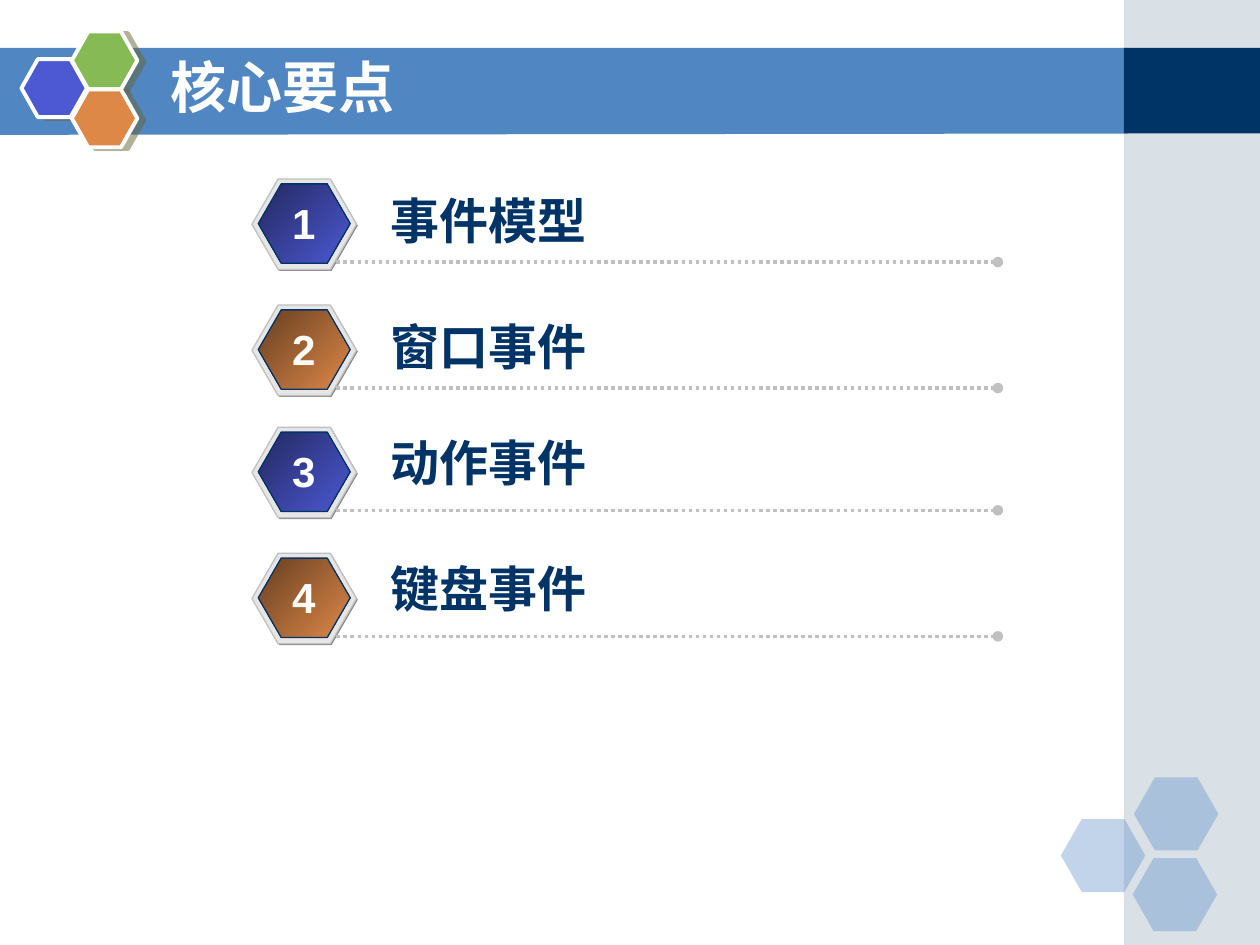
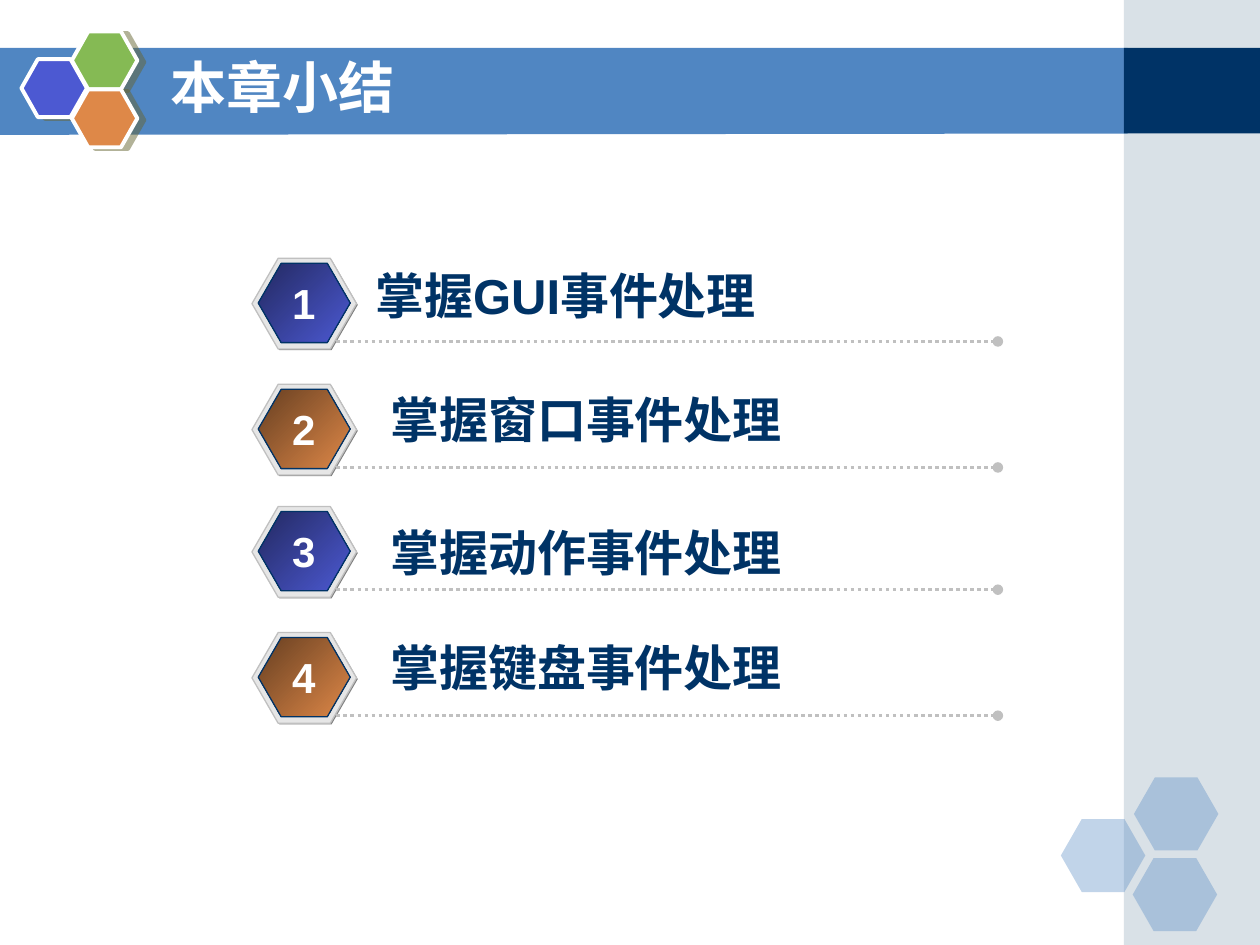
from dataclasses import dataclass

from lxml.etree import SubElement
from pptx import Presentation
from pptx.dml.color import RGBColor
from pptx.enum.dml import MSO_LINE
from pptx.enum.shapes import MSO_CONNECTOR, MSO_SHAPE
from pptx.enum.text import MSO_ANCHOR, MSO_AUTO_SIZE, PP_ALIGN
from pptx.oxml.ns import qn
from pptx.util import Inches, Pt


@dataclass(frozen=True)
class Theme:
    white: str = "FFFFFF"
    navy: str = "003366"
    band: str = "5086C2"
    side: str = "A0B5C4"
    indigo: str = "4C59D2"
    dark_indigo: str = "232961"
    orange: str = "DE8848"
    dark_orange: str = "673F21"
    green: str = "85BA54"
    silver: str = "C0C0C0"
    rim: str = "E6E6E6"
    edge: str = "808080"
    shadow: str = "666633"
    latin_font: str = "Arial"
    chinese_font: str = "Noto Sans CJK SC"
    title_size: int = 32
    topic_size: int = 28
    number_size: int = 24


@dataclass(frozen=True)
class Topic:
    text: str
    top: float
    width: float
    left: float = 3


ROW_OFFSETS = (0, 1, 1.97, 2.97)
CORNER_HEXAGONS = ((8.42, 6.5), (9, 6.17), (8.99, 6.81))

AGENDA = (
    Topic("事件模型", 1.46, 4.58),
    Topic("窗口事件", 2.46, 4.75),
    Topic("动作事件", 3.38, 4.75),
    Topic("键盘事件", 4.38, 4.67),
)
SUMMARY = (
    Topic("掌握GUI事件处理", 2.06, 4.75, 2.88),
    Topic("掌握窗口事件处理", 3.04, 4.67),
    Topic("掌握动作事件处理", 4.1, 4.67),
    Topic("掌握键盘事件处理", 5.01, 4.67),
)


class SlideBuilder:
    def __init__(self, presentation, theme):
        self.presentation = presentation
        self.theme = theme
        self.layout = presentation.slide_layouts[5]
        self.slide = None

    def start_slide(self, title):
        self.slide = self.presentation.slides.add_slide(self.layout)
        shape = self.slide.shapes.title
        shape.left, shape.top = Inches(1.25), Inches(0.33)
        shape.width, shape.height = Inches(7.33), Inches(0.7)
        shape.text_frame.vertical_anchor = MSO_ANCHOR.MIDDLE
        self.add_text(shape, title, self.theme.title_size, self.theme.white,
                      PP_ALIGN.LEFT, self.theme.chinese_font)

    def add_text(self, shape, text, size, color, alignment, font_name):
        paragraph = shape.text_frame.paragraphs[0]
        paragraph.alignment = alignment
        run = paragraph.add_run()
        run.text = text
        run.font.name = font_name
        run.font.size = Pt(size)
        run.font.bold = True
        run.font.color.rgb = RGBColor.from_string(color)
        east_asian = SubElement(run.font._element, qn("a:ea"))
        east_asian.set("typeface", self.theme.chinese_font)

    def paint(self, shape, fill, line=None, line_width=0.75, opacity=100):
        shape.shadow.inherit = False
        if isinstance(fill, tuple):
            shape.fill.gradient()
            shape.fill.gradient_angle = 315
            for stop, color in zip(shape.fill.gradient_stops, fill):
                stop.color.rgb = RGBColor.from_string(color)
        else:
            shape.fill.solid()
            shape.fill.fore_color.rgb = RGBColor.from_string(fill)
        if opacity < 100:
            color = shape._element.spPr.find(qn("a:solidFill"))[0]
            SubElement(color, qn("a:alpha")).set("val", str(opacity * 1000))
        if line:
            shape.line.color.rgb = RGBColor.from_string(line)
            shape.line.width = Pt(line_width)
        else:
            shape.line.fill.background()

    def rectangle(self, left, top, width, height, fill, opacity=100):
        shape = self.slide.shapes.add_shape(
            MSO_SHAPE.RECTANGLE, Inches(left), Inches(top), Inches(width), Inches(height))
        self.paint(shape, fill, opacity=opacity)
        return shape

    def hexagon(self, shapes, left, top, width, height, adjustment, fill, **style):
        shape = shapes.add_shape(
            MSO_SHAPE.HEXAGON, Inches(left), Inches(top), Inches(width), Inches(height))
        shape.adjustments[0] = adjustment
        self.paint(shape, fill, **style)
        return shape

    def title_band(self):
        builder = self.slide.shapes.build_freeform(Inches(-0.01), Inches(0.38))
        corners = ((8.95, 0.38), (8.95, 1.06), (-0.01, 1.07))
        builder.add_line_segments([(Inches(x), Inches(y)) for x, y in corners])
        shape = builder.convert_to_shape()
        self.paint(shape, self.theme.band)
        return shape

    def emblem_hexagon(self, left, top, fill):
        shape = self.hexagon(self.slide.shapes, left, top, 0.52, 0.46, 0.283, fill,
                             line=self.theme.white, line_width=2.25)
        effects = shape._element.spPr.find(qn("a:effectLst"))
        shadow = SubElement(effects, qn("a:outerShdw"), blurRad="0", dist=str(Pt(4.1)),
                            dir=str(14 * 60000), algn="ctr", rotWithShape="0")
        color = SubElement(shadow, qn("a:srgbClr"), val=self.theme.shadow)
        SubElement(color, qn("a:alpha"), val="50000")
        return shape

    def decorate_layout(self):
        theme = self.theme
        decorations = [
            self.title_band(),
            self.rectangle(8.92, 0, 1.08, 7.5, theme.side, 40),
            self.rectangle(8.92, 0.38, 1.08, 0.68, theme.navy),
        ]
        for left, top in CORNER_HEXAGONS:
            decorations.append(self.hexagon(self.slide.shapes, left, top, 0.67, 0.58,
                                            0.286, theme.band, opacity=35))
        for left, top, fill in ((0.17, 0.47, theme.indigo), (0.57, 0.25, theme.green),
                                (0.57, 0.71, theme.orange)):
            decorations.append(self.emblem_hexagon(left, top, fill))
        for shape in decorations:
            self.layout.shapes._spTree.append(shape._element)

    def badge(self, top, gradient):
        shapes = self.slide.shapes.add_group_shape().shapes
        self.hexagon(shapes, 2.01, top + 0.01, 0.83, 0.72, 0.289, self.theme.edge)
        self.hexagon(shapes, 2, top, 0.83, 0.72, 0.289, self.theme.rim,
                     line=self.theme.silver)
        self.hexagon(shapes, 2.05, top + 0.04, 0.73, 0.63, 0.289, gradient,
                     line=self.theme.navy)

    def dotted_line(self, top):
        connector = self.slide.shapes.add_connector(
            MSO_CONNECTOR.STRAIGHT, Inches(2.67), Inches(top), Inches(7.92), Inches(top))
        connector.line.color.rgb = RGBColor.from_string(self.theme.silver)
        connector.line.width = Pt(2)
        connector.line.dash_style = MSO_LINE.ROUND_DOT
        properties = connector._element.spPr
        SubElement(properties.find(qn("a:ln")), qn("a:tailEnd"), type="oval")
        SubElement(properties, qn("a:effectLst"))

    def text_box(self, left, top, width, height, text, size, color,
                 alignment=PP_ALIGN.LEFT, wrap=True):
        shape = self.slide.shapes.add_textbox(
            Inches(left), Inches(top), Inches(width), Inches(height))
        shape.text_frame.word_wrap = wrap
        shape.text_frame.auto_size = MSO_AUTO_SIZE.SHAPE_TO_FIT_TEXT
        self.add_text(shape, text, size, color, alignment, self.theme.latin_font)

    def topic_list(self, first_top, topics):
        theme = self.theme
        gradients = ((theme.dark_indigo, theme.indigo), (theme.dark_orange, theme.orange))
        for index, (offset, topic) in enumerate(zip(ROW_OFFSETS, topics)):
            top = first_top + offset
            self.badge(top, gradients[index % 2])
            self.dotted_line(top + 0.66)
            self.text_box(topic.left, topic.top, topic.width, 0.57, topic.text,
                          theme.topic_size, theme.navy)
            self.text_box(2.22, top + 0.1, 0.38, 0.5, str(index + 1),
                          theme.number_size, theme.white, PP_ALIGN.CENTER, wrap=False)


def main():
    presentation = Presentation()
    presentation.slide_width = Inches(10)
    presentation.slide_height = Inches(7.5)
    builder = SlideBuilder(presentation, Theme())

    builder.start_slide("核心要点")
    builder.decorate_layout()
    builder.topic_list(1.42, AGENDA)

    builder.start_slide("本章小结")
    builder.topic_list(2.05, SUMMARY)

    presentation.save("out.pptx")


if __name__ == "__main__":
    main()
